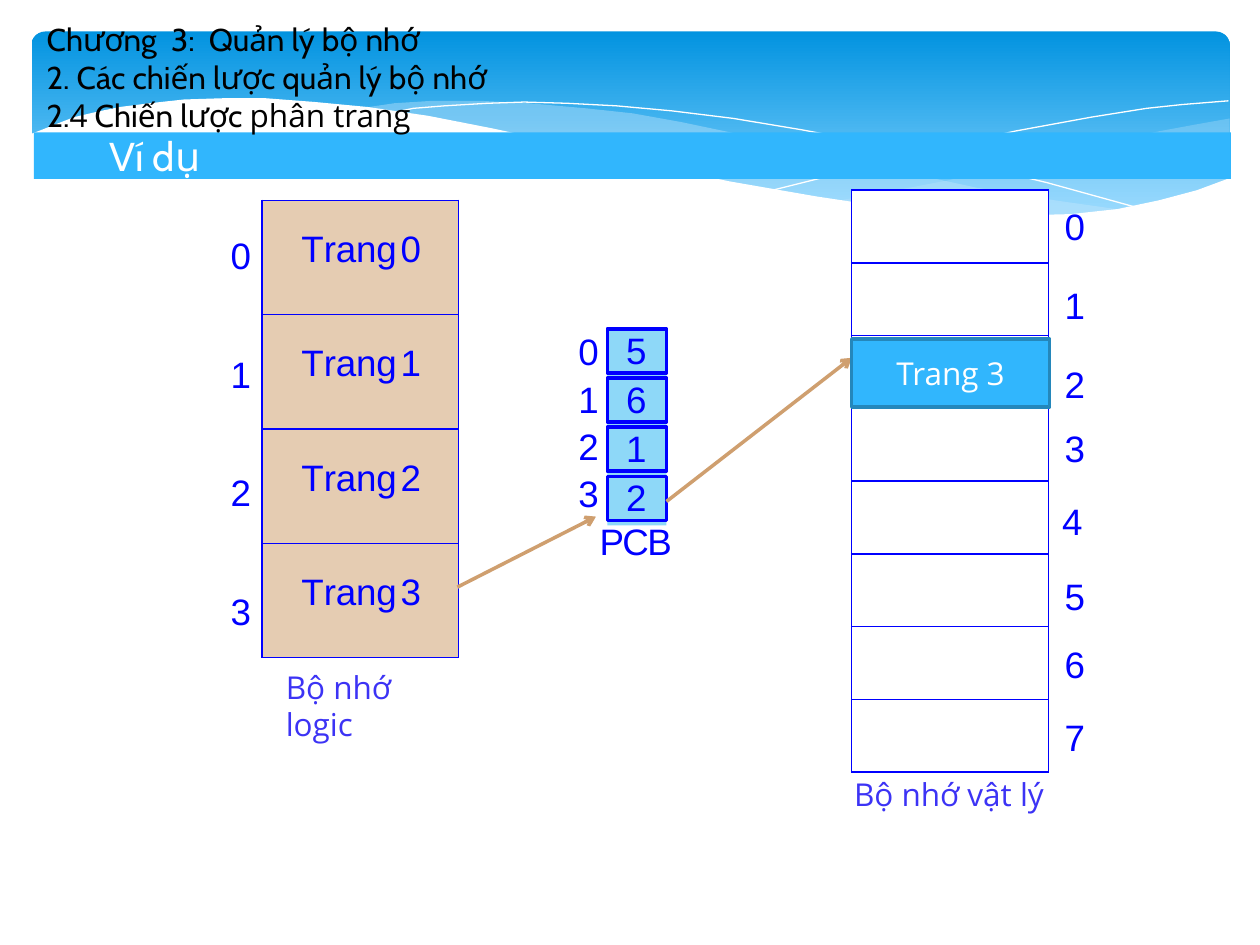
from lxml import etree
from pptx import Presentation
from pptx import util as u
from pptx.dml.color import RGBColor
from pptx.enum import shapes, text
from pptx.oxml.ns import qn

BLUE, SKY, PALE, SAND, INDIGO = "0000FF", "31B6FD", "8ED8F8", "E5CCB2", "3C33F5"
WIDE = (0.1, 0.05, 0.1, 0.05)
color = RGBColor.from_string

deck = Presentation()
deck.slide_width, deck.slide_height = u.Inches(10), u.Inches(7.5)
cell = deck.slide_width // 1000  # the grid has 1000 columns and 750 rows
page = deck.slides.add_slide(deck.slide_layouts[5])


def paint(item, fill=None, line=None, width=1.0, alpha=None):
    """Set fill and line of a shape, or the fill of a table cell."""
    if fill:
        item.fill.solid()
        item.fill.fore_color.rgb = color(fill)
    else:
        item.fill.background()
    if alpha:
        shade = item._element.spPr.find(qn("a:solidFill"))[0]
        etree.SubElement(shade, qn("a:alpha"), val=str(alpha * 1000))
    if hasattr(item, "shadow"):
        item.shadow.inherit = False
        if line:
            item.line.color.rgb = color(line)
            item.line.width = u.Pt(width)
        else:
            item.line.fill.background()


def write(box, *spans, size=21, font="Arial", ink=BLUE, spacing=-1.3, indent=0.03,
          before=0, leading=None, align=None, anchor="TOP", inset=(0, 0.02, 0, 0)):
    """Add a paragraph; a span is a text or (text, font, letter spacing)."""
    frame = box.text_frame
    holder = box if hasattr(box, "margin_top") else frame
    (holder.margin_left, holder.margin_top,
     holder.margin_right, holder.margin_bottom) = map(u.Inches, inset)
    holder.vertical_anchor = text.MSO_ANCHOR[anchor]
    if holder is frame:
        frame.word_wrap = True
        frame.auto_size = text.MSO_AUTO_SIZE.NONE
    para = frame.paragraphs[0] if not frame.text else frame.add_paragraph()
    para.alignment = text.PP_ALIGN[align or "LEFT"]
    para.space_before = u.Pt(before)
    if leading:
        para.line_spacing = u.Pt(leading)
    properties = para._p.get_or_add_pPr()
    properties.set("marL", str(u.Inches(indent)))
    properties.set("indent", "0")
    for part in spans:
        words, face, gap = (part, font, spacing) if isinstance(part, str) else part
        span = para.add_run()
        span.text = words
        span.font.size, span.font.name = u.Pt(size), face
        span.font.color.rgb = color(ink)
        span.font._element.set("spc", str(round(gap * 100)))


# Header: gradient panel under layered waves
panel = page.shapes.add_shape(shapes.MSO_SHAPE.ROUNDED_RECTANGLE,
                              25 * cell, 25 * cell, 951 * cell, 156 * cell)
panel.adjustments[0] = 0.07
paint(panel)
panel.fill.gradient()
panel.fill.gradient_angle = 270
for stop, tone, position in zip(panel.fill.gradient_stops, ("0293E0", "83D3FE"), (0, 0.9)):
    stop.color.rgb = color(tone)
    stop.position = position

right_wave = [(976, 94), (948, 99), (921, 104), (891, 110), (861, 118), (805, 131),
              (753, 143), (706, 152), (661, 160), (705, 165), (745, 169), (792, 172),
              (835, 172), (872, 169), (905, 163), (935, 156), (963, 147), (976, 141)]
middle_wave = [(893, 167), (837, 159), (775, 149), (706, 134), (629, 116), (584, 106),
               (541, 97), (502, 90), (465, 86), (420, 82), (380, 80), (344, 80),
               (313, 82), (286, 86), (323, 90), (362, 97), (404, 106), (449, 116),
               (530, 135), (584, 146), (634, 156), (680, 163), (722, 168), (761, 171),
               (796, 173), (838, 172), (867, 170)]
falling_line = [(309, 90), (328, 86), (353, 84), (387, 82), (416, 81), (450, 82),
                (489, 84), (533, 88), (582, 94), (636, 103), (695, 114), (760, 128),
                (831, 145), (907, 166)]
rising_line = [(613, 151), (653, 141), (695, 130), (748, 117), (806, 104), (866, 93),
               (910, 86), (938, 83), (975, 80)]
white_wave = [(977, 141), (950, 151), (920, 159), (887, 166), (850, 170), (809, 171),
              (761, 170), (708, 165), (648, 156), (579, 144), (503, 128), (447, 114),
              (391, 102), (340, 92), (292, 85), (250, 81), (211, 78), (177, 78),
              (146, 79), (119, 82), (95, 85), (76, 89), (59, 93), (46, 98),
              (36, 102), (23, 107), (23, 224), (977, 224)]
for points, fill, line, alpha in [
        (right_wave, "C6E7FC", None, 29), (middle_wave, "C6E7FC", None, 40),
        (falling_line, None, "FFFFFF", None), (rising_line, None, "FFFFFF", None),
        (white_wave, "FFFFFF", None, None)]:
    builder = page.shapes.build_freeform(*points[0], scale=cell)
    builder.add_line_segments(points[1:], close=fill is not None)
    paint(builder.convert_to_shape(), fill, line, 0, alpha)

# Both memories: (left, top, width, height, rows, column widths, fill)
grids = []
for left, top, width, height, rows, columns, fill in [
        (676, 151, 156, 462, 8, (156,), "FFFFFF"), (208, 159, 156, 363, 4, (107, 49), SAND)]:
    grid = page.shapes.add_table(rows, len(columns), left * cell, top * cell,
                                 width * cell, height * cell).table
    grid.first_row = grid.horz_banding = False
    for number, column in enumerate(columns):
        grid.columns[number].width = column * cell
        for row in range(rows):
            slot = grid.cell(row, number)
            for side in "LRTB":
                edge = etree.SubElement(slot._tc.get_or_add_tcPr(), qn("a:ln" + side), w="12700")
                inner = (side == "L" and number > 0) or (side == "R" and number < len(columns) - 1)
                if inner:
                    etree.SubElement(edge, qn("a:noFill"))
                else:
                    solid = etree.SubElement(edge, qn("a:solidFill"))
                    etree.SubElement(solid, qn("a:srgbClr"), val=BLUE)
            paint(slot, fill)
    grids.append(grid)

logical = grids[1]
for row in range(4):
    cell_format = dict(before=8.2, inset=(0, 0.23, 0, 0))
    write(logical.cell(row, 0), ("T", "Arial", -0.9), ("rang", "Arial", -0.1),
          align="RIGHT", indent=0, **cell_format)
    write(logical.cell(row, 1), str(row), spacing=0, **cell_format)

# Page and frame numbers beside the memories
frame_tops = [160, 222, 285, 336, 394, 453, 507, 565]
labels = [(840 if n == 4 else 842, top, n) for n, top in enumerate(frame_tops)]
labels += [(180, 183 + 94 * n, n) for n in range(4)]
for left, top, number in labels:
    box = page.shapes.add_textbox(left * cell, top * cell, 21 * cell, 38 * cell)
    write(box, str(number), before=1.8)

# Headings
band = page.shapes.add_shape(shapes.MSO_SHAPE.RECTANGLE,
                             27 * cell, 105 * cell, 950 * cell, 37 * cell)
paint(band, SKY)
write(band, "Ví dụ", size=23, font="Cabin", ink="FFFFFF", spacing=0, indent=0.5,
      anchor="MIDDLE", inset=WIDE)

title = page.shapes.title
title.left, title.top, title.width, title.height = (n * cell for n in (27, 11, 956, 101))
page.shapes._spTree.append(title._element)
for spans in [["Chương  3:  Quản lý bộ nhớ"],
              ["2. Các chiến lược quản lý bộ nhớ"],
              ["2.", ("4", "Open Sans", 0), " Chiến lược ", ("phân trang", "Open Sans", 0)]]:
    write(title, *spans, size=18, font="Cabin", ink="000000", spacing=0, indent=0, inset=WIDE)

for caption, left, top, width in [("Bộ nhớ logic", 217, 525, 157),
                                  ("Bộ nhớ vật lý", 668, 610, 194)]:
    box = page.shapes.add_textbox(left * cell, top * cell, width * cell, 40 * cell)
    write(box, caption, size=18, font="Open Sans", ink=INDIGO, spacing=0, indent=0, inset=WIDE)

# Page table
backing = page.shapes.add_shape(shapes.MSO_SHAPE.RECTANGLE,
                                482 * cell, 261 * cell, 47 * cell, 156 * cell)
paint(backing, PALE)
indexes = page.shapes.add_textbox(456 * cell, 255 * cell, 21 * cell, 155 * cell)
for row, entry in enumerate("5612"):
    box = page.shapes.add_shape(shapes.MSO_SHAPE.RECTANGLE, 482 * cell,
                                (261 + 39 * row) * cell, 47 * cell, 35 * cell)
    paint(box, PALE, BLUE, 2)
    write(box, entry, indent=0.15, leading=24.6, inset=(0, 0, 0, 0))
    write(indexes, str(row), before=1.9 if row else 4, inset=(0, 0.06, 0, 0))
box = page.shapes.add_textbox(473 * cell, 410 * cell, 64 * cell, 38 * cell)
write(box, "PCB", spacing=-1, before=1.8)

# Arrows from page 3 to its entry and on to its frame
for ends in [(363, 466, 473, 410), (529, 398, 676, 284)]:
    arrow = page.shapes.add_connector(shapes.MSO_CONNECTOR.STRAIGHT, *(n * cell for n in ends))
    arrow.line.color.rgb = color("CF9F6F")
    arrow.line.width = u.Pt(2)
    etree.SubElement(arrow.line._get_or_add_ln(), qn("a:tailEnd"), type="arrow")
    etree.SubElement(arrow._element.spPr, qn("a:effectLst"))

loaded = page.shapes.add_shape(shapes.MSO_SHAPE.RECTANGLE,
                               676 * cell, 269 * cell, 157 * cell, 54 * cell)
paint(loaded, SKY, "2487BB", 2)
write(loaded, "Trang 3", size=18, font="Open Sans", ink="FFFFFF", spacing=0, indent=0,
      align="CENTER", anchor="MIDDLE", inset=WIDE)

deck.save("out.pptx")
